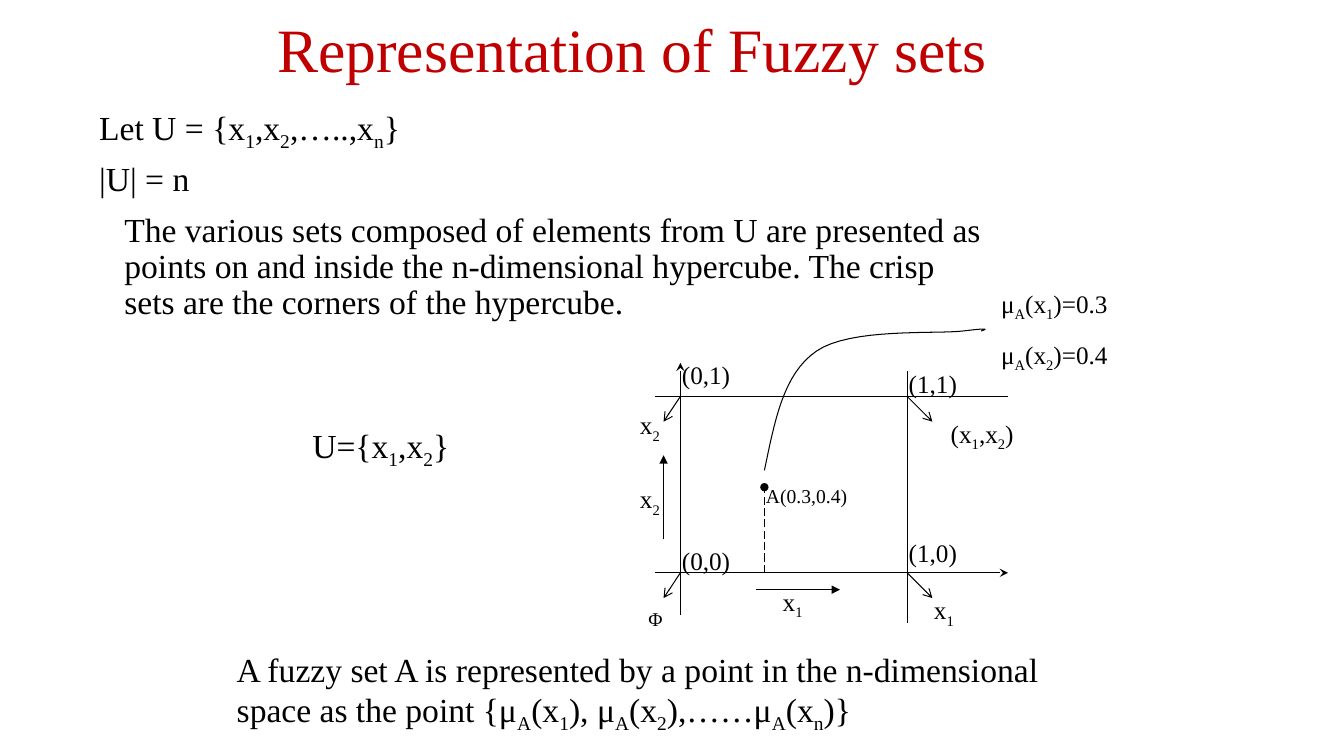
import lxml.etree
import pptx
import pptx.dml.color
import pptx.enum.dml
import pptx.enum.shapes
import pptx.enum.text
import pptx.oxml.ns
import pptx.util

COLOURS = {"title": "C00000", "ink": "000000"}
FONT = "Times New Roman"
WIDTH, HEIGHT = pptx.util.Inches(13.33), pptx.util.Inches(7.5)
COLUMNS, ROWS = 160, 90
LEFT, RIGHT, TOP, BOTTOM = 81, 108, 47.2, 68.2
POINT_COLUMN, POINT_ROW = 91, 58


def across(columns):
    return round(WIDTH * columns / COLUMNS)


def down(rows):
    return round(HEIGHT * rows / ROWS)


def colour(name):
    return pptx.dml.color.RGBColor.from_string(COLOURS[name])


def place(shape, column, row, columns, rows):
    shape.left, shape.top = across(column), down(row)
    shape.width, shape.height = across(columns), down(rows)


def add_run(paragraph, text, size, name, subscript=False):
    if not text:
        return
    run = paragraph.add_run()
    run.text = text
    run.font.name = FONT
    run.font.size = pptx.util.Pt(size)
    run.font.color.rgb = colour(name)
    if subscript:
        run._r.get_or_add_rPr().set("baseline", "-25000")


def write(text_frame, lines, size, space, name="ink"):
    """An underscore lowers the one character that follows it."""
    text_frame.word_wrap = True
    text_frame.auto_size = pptx.enum.text.MSO_AUTO_SIZE.NONE
    for index, line in enumerate(lines):
        paragraph = text_frame.add_paragraph() if index else text_frame.paragraphs[0]
        paragraph.space_before = pptx.util.Pt(space if index else 0)
        paragraph.alignment = pptx.enum.text.PP_ALIGN.LEFT
        start, *parts = line.split("_")
        add_run(paragraph, start, size, name)
        for part in parts:
            add_run(paragraph, part[0], size, name, subscript=True)
            add_run(paragraph, part[1:], size, name)


def fill_title(shape, text):
    place(shape, 31.8, 1, 89.4, 10.4)
    write(shape.text_frame, [text], 44, 0, "title")
    shape.text_frame.vertical_anchor = pptx.enum.text.MSO_ANCHOR.MIDDLE
    shape.text_frame.paragraphs[0].line_spacing = 0.9


def fill_body(shape, lines):
    place(shape, 10.6, 12.2, 108, 59.4)
    write(shape.text_frame, lines, 24, 10)
    shape.text_frame.vertical_anchor = pptx.enum.text.MSO_ANCHOR.TOP
    indent = pptx.util.Inches(0.25)
    for paragraph, hanging in zip(shape.text_frame.paragraphs, (indent, indent, 0)):
        properties = paragraph._p.get_or_add_pPr()
        properties.set("marL", str(indent))
        properties.set("indent", str(-hanging))
        lxml.etree.SubElement(properties, pptx.oxml.ns.qn("a:buNone"))
        paragraph.line_spacing = 0.9


def add_label(slide, lines, column, row, columns=10, rows=4.8, size=18):
    shape = slide.shapes.add_textbox(0, 0, 0, 0)
    place(shape, column, row, columns, rows)
    write(shape.text_frame, lines, size, 12)


def style_line(line):
    line.color.rgb = colour("ink")
    line.width = pptx.util.Pt(0.75)


def add_line(slide, start, end, head=None, dashed=False):
    connector = slide.shapes.add_connector(
        pptx.enum.shapes.MSO_CONNECTOR.STRAIGHT,
        across(start[0]), down(start[1]), across(end[0]), down(end[1]))
    style_line(connector.line)
    if dashed:
        connector.line.dash_style = pptx.enum.dml.MSO_LINE.LONG_DASH
    properties = connector._element.spPr
    if head:
        outline = properties.find(pptx.oxml.ns.qn("a:ln"))
        lxml.etree.SubElement(outline, pptx.oxml.ns.qn("a:tailEnd"), type=head)
    lxml.etree.SubElement(properties, pptx.oxml.ns.qn("a:effectLst"))


def bezier(points, share):
    while len(points) > 1:
        points = [tuple(a + (b - a) * share for a, b in zip(first, second))
                  for first, second in zip(points, points[1:])]
    return points[0]


def add_curve(slide, knots, steps=16):
    points = [bezier(knots[first:first + 4], step / steps)
              for first in range(0, len(knots) - 1, 3)
              for step in range(1, steps + 1)]
    builder = slide.shapes.build_freeform(across(knots[0][0]), down(knots[0][1]))
    builder.add_line_segments([(across(x), down(y)) for x, y in points], close=False)
    shape = builder.convert_to_shape()
    shape.shadow.inherit = False
    shape.fill.background()
    style_line(shape.line)


def draw_axes(slide):
    add_line(slide, (LEFT, 73.2), (LEFT, 43.2), "stealth")
    add_line(slide, (78, BOTTOM), (120, BOTTOM), "stealth")
    add_line(slide, (78, TOP), (120, TOP))
    add_line(slide, (RIGHT, 44.2), (RIGHT, 74.2))
    add_line(slide, (90, 70.2), (100, 70.2), "triangle")
    add_line(slide, (79, 64.2), (79, 54.2), "triangle")
    for row in (TOP, BOTTOM):
        for column, reach in ((LEFT, -2), (RIGHT, 3)):
            add_line(slide, (column, row), (column + reach, row + 3), "arrow")


def draw_point(slide):
    add_line(slide, (POINT_COLUMN, BOTTOM), (POINT_COLUMN, POINT_ROW), "oval", dashed=True)
    add_label(slide, ["A(0.3,0.4)"], POINT_COLUMN - 1, POINT_ROW - 1, 19, 4, 14)
    add_curve(slide, [
        (91, 56), (92.2, 50.3), (93.2, 44.5), (97.2, 41.8),
        (101.2, 39), (111.5, 39.8), (114.7, 39.4),
        (118, 39), (117.4, 39.2), (116.8, 39.4)])
    add_label(slide, ["μ_A(x_1)=0.3", "μ_A(x_2)=0.4"], 118, 33.7, 19, 10.2)


def main():
    presentation = pptx.Presentation()
    presentation.slide_width, presentation.slide_height = WIDTH, HEIGHT
    slide = presentation.slides.add_slide(presentation.slide_layouts[1])
    fill_title(slide.shapes.title, "Representation of Fuzzy sets")
    fill_body(slide.placeholders[1], [
        "Let U = {x_1,x_2,…..,x_n}",
        "|U| = n",
        "The various sets composed of elements from U are presented as points on and "
        "inside the n-dimensional hypercube. The crisp sets are the corners of the hypercube."])
    draw_axes(slide)
    for text, column, row in (
            ("(1,0)", RIGHT - 1, 63.4), ("(0,0)", LEFT - 1, 64.3),
            ("(0,1)", LEFT - 1, 42.2), ("(1,1)", RIGHT - 1, 43.2),
            ("x_1", 110, 70.2), ("x_1", 92, 69.2)):
        add_label(slide, [text], column, row)
    for row in (48.2, 57):
        add_label(slide, ["x_2"], 75, row, 6)
    add_label(slide, ["(x_1,x_2)"], 112, 49.2, 11)
    add_label(slide, ["_Φ"], 76, 69, 10, 4.4, 24)
    draw_point(slide)
    add_label(slide, ["U={x_1,x_2}"], 36, 50, 20, 6, 24)
    add_label(slide, [
        "A fuzzy set A is represented by a point in the n-dimensional space "
        "as the point {μ_A(x_1), μ_A(x_2),……μ_A(x_n)}"], 27, 76.6, 99, 10.9, 24)
    presentation.save("out.pptx")


if __name__ == "__main__":
    main()
